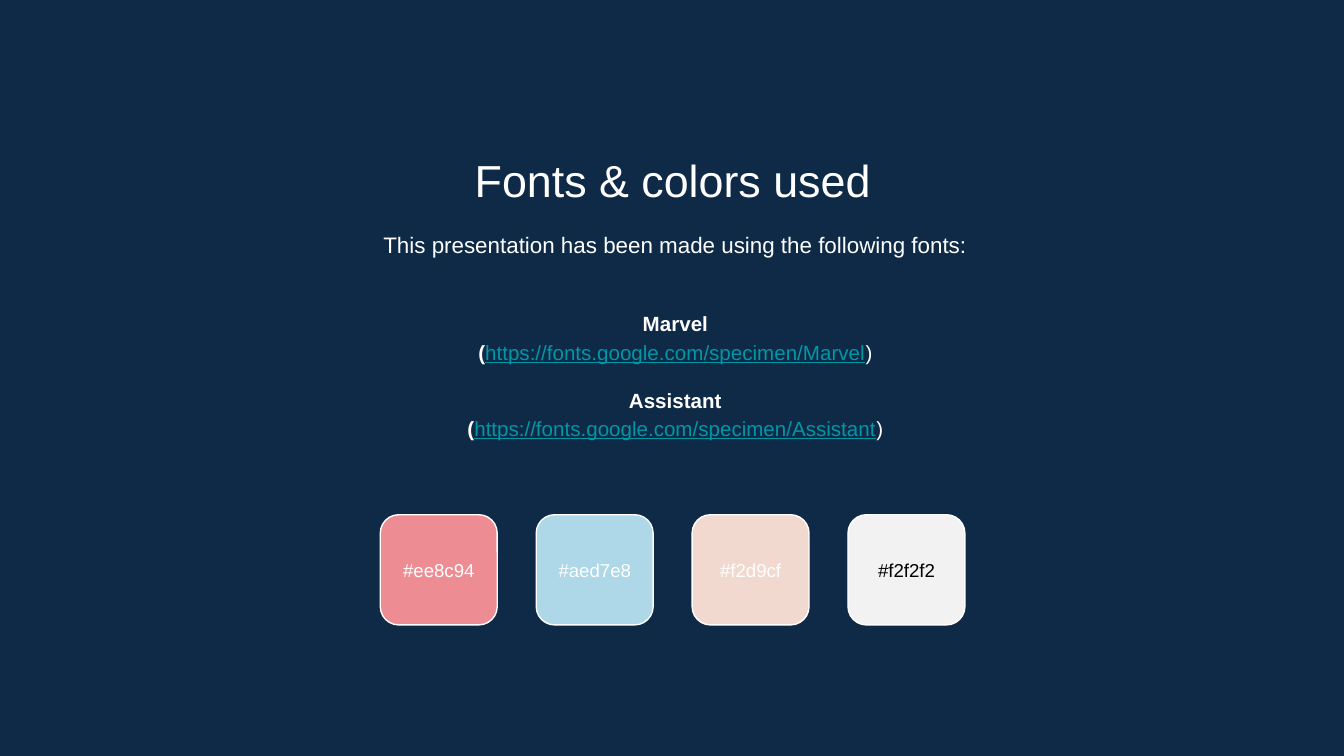
import pptx
import pptx.util
import pptx.dml.color
import pptx.enum.shapes
import pptx.enum.text

Inches, Pt = pptx.util.Inches, pptx.util.Pt
RGB = pptx.dml.color.RGBColor.from_string
ANCHOR = pptx.enum.text.MSO_ANCHOR

# Content
TITLE = "Fonts & colors used"
INTRO = "This presentation has been made using the following fonts:"
FONTS = [
    ("Marvel", "https://fonts.google.com/specimen/Marvel"),
    ("Assistant", "https://fonts.google.com/specimen/Assistant"),
]
SWATCHES = [  # label, text colour
    ("#ee8c94", "white"),
    ("#aed7e8", "white"),
    ("#f2d9cf", "white"),
    ("#f2f2f2", "black"),
]

THEME = {
    "font": "Arial",
    "navy": "0E2A47", "white": "FFFFFF", "black": "000000", "link": "0097A7",
    "title": 24, "intro": 12, "body": 11, "label": 10,
}

# Layout
BODY_LEFT, BODY_W = 1.17, 7.71
SWATCH_LEFT, SWATCH_TOP, SWATCH_W, SWATCH_H = 2.83, 3.83, 0.87, 0.82
SWATCH_STEP = 1.16
LABEL_TOP, LABEL_H = 4, 0.48
FONT_GAP = 10.6


def add_text(slide, paragraphs, box, size, color="white", anchor=ANCHOR.TOP,
             spacing=1.0):
    """Each paragraph is (space before, runs); a run is (text, format)."""
    if isinstance(paragraphs, str):
        paragraphs = [(0, [(paragraphs, {})])]
    tf = slide.shapes.add_textbox(*map(Inches, box)).text_frame
    tf.word_wrap = True
    tf.vertical_anchor = anchor
    tf.margin_left = tf.margin_right = Inches(0.1)
    tf.margin_top = tf.margin_bottom = Inches(0.1)
    for i, (before, runs) in enumerate(paragraphs):
        p = tf.add_paragraph() if i else tf.paragraphs[0]
        p.alignment = pptx.enum.text.PP_ALIGN.CENTER
        p.line_spacing = spacing
        p.space_before = Pt(before)
        for text, fmt in runs:
            r = p.add_run()
            r.text = text
            r.font.name = THEME["font"]
            r.font.size = Pt(THEME[size])
            r.font.bold = fmt.get("bold", False)
            r.font.underline = fmt.get("underline", False)
            r.font.color.rgb = RGB(THEME[fmt.get("color", color)])


def add_swatch(slide, label, color, left):
    sp = slide.shapes.add_shape(
        pptx.enum.shapes.MSO_SHAPE.ROUNDED_RECTANGLE,
        *map(Inches, (left, SWATCH_TOP, SWATCH_W, SWATCH_H)))
    sp.shadow.inherit = False
    sp.fill.solid()
    sp.fill.fore_color.rgb = RGB(label[1:].upper())
    sp.line.color.rgb = RGB(THEME["white"])
    sp.line.width = Pt(0.75)
    add_text(slide, label, (left, LABEL_TOP, SWATCH_W, LABEL_H), "label",
             color=color, anchor=ANCHOR.MIDDLE)


prs = pptx.Presentation()
prs.slide_width = Inches(10)
prs.slide_height = prs.slide_width * 9 // 16
s = prs.slides.add_slide(prs.slide_layouts[6])
s.background.fill.solid()
s.background.fill.fore_color.rgb = RGB(THEME["navy"])

# Heading and introduction
add_text(s, TITLE, (1.15, 1.04, BODY_W, 0.53), "title")
add_text(s, INTRO, (BODY_LEFT, 1.59, BODY_W, 0.48), "intro", spacing=1.15)

# Font names with their addresses
lines = []
for i, (name, url) in enumerate(FONTS):
    lines.append((FONT_GAP if i else 0, [(name, {"bold": True})]))
    lines.append((0, [("(", {"bold": True}),
                      (url, {"color": "link", "underline": True}),
                      (")", {})]))
add_text(s, lines, (BODY_LEFT, 2.1, BODY_W, 1.37), "body",
         anchor=ANCHOR.MIDDLE, spacing=1.15)

# Colour swatches
for i, (label, color) in enumerate(SWATCHES):
    add_swatch(s, label, color, SWATCH_LEFT + i * SWATCH_STEP)

prs.save("out.pptx")
